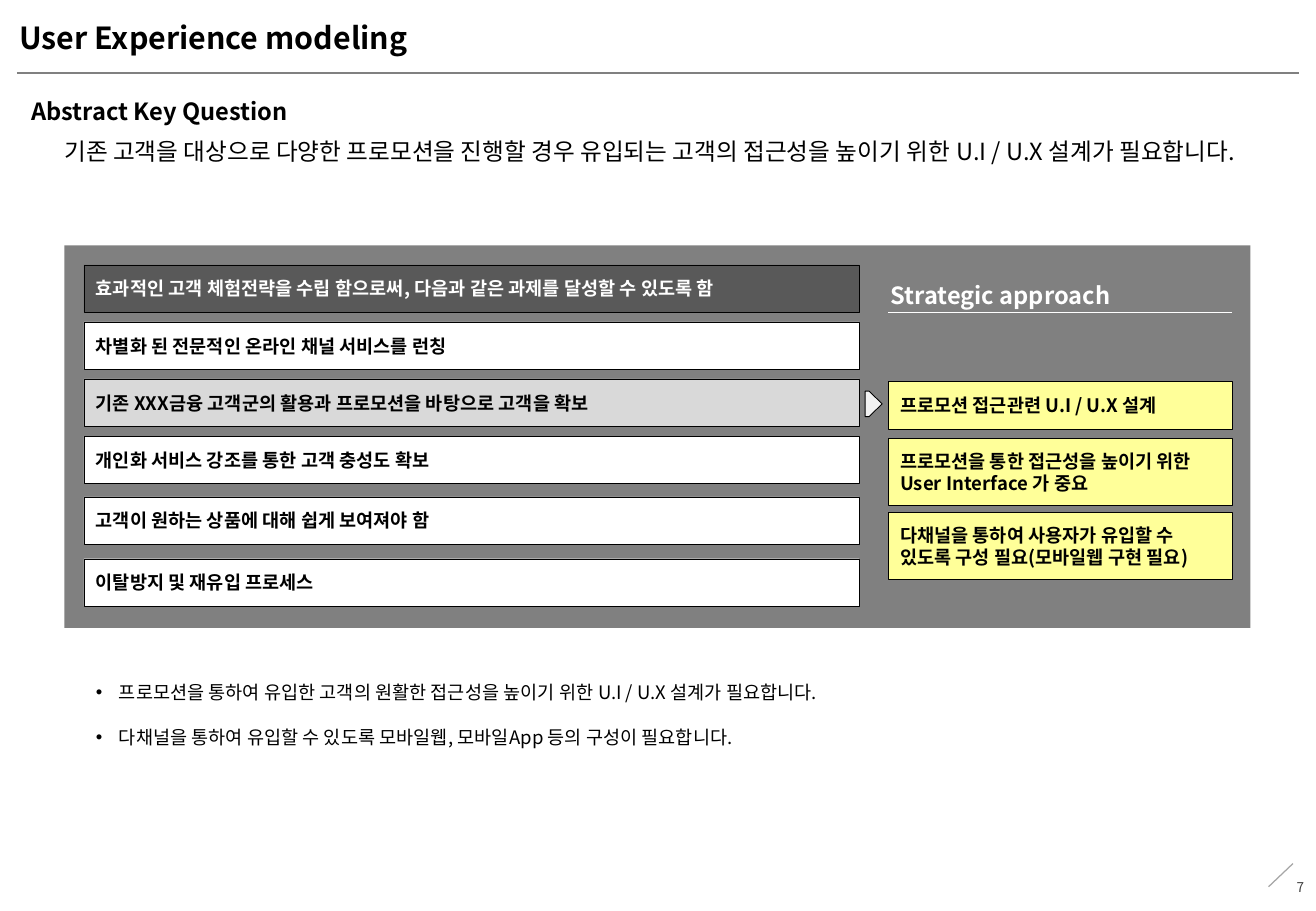
import pptx
import pptx.dml.color
import pptx.enum.shapes
import pptx.enum.text
import pptx.oxml.ns
import pptx.util
from lxml import etree

Inches = pptx.util.Inches
Pt = pptx.util.Pt
qn = pptx.oxml.ns.qn
SHAPES = pptx.enum.shapes.MSO_SHAPE
MIDDLE = pptx.enum.text.MSO_ANCHOR.MIDDLE
RIGHT = pptx.enum.text.PP_ALIGN.RIGHT

BLACK, WHITE, GRAY = "000000", "FFFFFF", "808080"
DARK, LIGHT, YELLOW = "595959", "D9D9D9", "FFFF99"


def color(hex_value):
    return pptx.dml.color.RGBColor.from_string(hex_value)


class SlideBuilder:
    font_name = "Noto Sans CJK KR"

    def __init__(self, slide):
        self.slide = slide

    def style_paragraph(self, paragraph, size, text_color, bold):
        for run in paragraph.runs:
            run.font.size = Pt(size)
            run.font.bold = bold
            run.font.color.rgb = color(text_color)
            run.font.name = self.font_name
            east_asian = etree.SubElement(run.font._element, qn("a:ea"))
            east_asian.set("typeface", self.font_name)

    def text(self, box, text, size, text_color=BLACK, bold=False,
             insets=(0.1, 0.05, 0.1, 0.05)):
        shape = self.slide.shapes.add_textbox(*map(Inches, box))
        self.fill_text(shape.text_frame, text, size, text_color, bold, insets)
        return shape.text_frame

    def fill_text(self, frame, text, size, text_color, bold, insets):
        frame.word_wrap = True
        (frame.margin_left, frame.margin_top,
         frame.margin_right, frame.margin_bottom) = map(Inches, insets)
        frame.text = text
        for paragraph in frame.paragraphs:
            paragraph.alignment = pptx.enum.text.PP_ALIGN.LEFT
            self.style_paragraph(paragraph, size, text_color, bold)

    def bullets(self, box, items, size, gap):
        frame = self.text(box, "\n".join(items), size)
        for index, paragraph in enumerate(frame.paragraphs):
            properties = paragraph._p.get_or_add_pPr()
            properties.set("marL", str(Inches(0.19)))
            properties.set("indent", str(-Inches(0.19)))
            etree.SubElement(properties, qn("a:buFont")).set("typeface", "Arial")
            etree.SubElement(properties, qn("a:buChar")).set("char", "•")
            if index:
                paragraph.space_before = Pt(gap)

    def shape(self, box, fill, line_width=None, kind=SHAPES.RECTANGLE):
        shape = self.slide.shapes.add_shape(kind, *map(Inches, box))
        shape.shadow.inherit = False
        shape.fill.solid()
        shape.fill.fore_color.rgb = color(fill)
        if line_width is None:
            shape.line.fill.background()
        else:
            shape.line.color.rgb = color(BLACK)
            shape.line.width = Pt(line_width)
        return shape

    def label_box(self, box, text, fill, text_color=BLACK):
        frame = self.shape(box, fill, 0.25).text_frame
        self.fill_text(frame, text, 11, text_color, True, (0.1, 0, 0.1, 0))
        frame.vertical_anchor = MIDDLE

    def line(self, start, end, line_color, width):
        connector = self.slide.shapes.add_connector(
            pptx.enum.shapes.MSO_CONNECTOR.STRAIGHT, *map(Inches, start + end))
        connector.line.color.rgb = color(line_color)
        connector.line.width = Pt(width)
        etree.SubElement(connector._element.spPr, qn("a:effectLst"))


GOALS = [
    (2.18, "효과적인 고객 체험전략을 수립 함으로써, 다음과 같은 과제를 달성할 수 있도록 함", DARK, WHITE),
    (2.65, "차별화 된 전문적인 온라인 채널 서비스를 런칭", WHITE, BLACK),
    (3.12, "기존 XXX금융 고객군의 활용과 프로모션을 바탕으로 고객을 확보", LIGHT, BLACK),
    (3.59, "개인화 서비스 강조를 통한 고객 충성도 확보", WHITE, BLACK),
    (4.09, "고객이 원하는 상품에 대해 쉽게 보여져야 함", WHITE, BLACK),
    (4.6, "이탈방지 및 재유입 프로세스", WHITE, BLACK),
]
APPROACHES = [
    (3.14, 0.39, "프로모션 접근관련 U.I / U.X 설계"),
    (3.61, 0.55, "프로모션을 통한 접근성을 높이기 위한 User Interface 가 중요"),
    (4.22, 0.55, "다채널을 통하여 사용자가 유입할 수 있도록 구성 필요(모바일웹 구현 필요)"),
]
CONCLUSIONS = [
    "프로모션을 통하여 유입한 고객의 원활한 접근성을 높이기 위한 U.I / U.X 설계가 필요합니다.",
    "다채널을 통하여 유입할 수 있도록 모바일웹, 모바일App 등의 구성이 필요합니다.",
]


def main():
    presentation = pptx.Presentation()
    presentation.slide_width = Inches(10.83)
    presentation.slide_height = Inches(7.5)
    builder = SlideBuilder(
        presentation.slides.add_slide(presentation.slide_layouts[6]))

    builder.line((0.14, 0.6), (10.69, 0.6), GRAY, 0.75)
    builder.line((10.64, 7.11), (10.44, 7.3), "A6A6A6", 0.75)
    page_number = builder.text((10.22, 7.1, 0.61, 0.4), "7", 8, "404040")
    page_number.vertical_anchor = MIDDLE
    page_number.paragraphs[0].alignment = RIGHT

    builder.text((0.16, 0.1, 8.09, 0.42), "User Experience modeling", 18,
                 bold=True, insets=(0, 0.06, 0, 0.06))
    builder.text((0.16, 0.75, 10.54, 0.34), "Abstract Key Question", 14, bold=True)
    builder.text((0.53, 1.08, 10.16, 0.34),
                 "기존 고객을 대상으로 다양한 프로모션을 진행할 경우 유입되는 고객의 "
                 "접근성을 높이기 위한 U.I / U.X 설계가 필요합니다.",
                 14, insets=(0, 0.05, 0.1, 0.05))

    builder.shape((0.53, 2.02, 9.76, 3.15), GRAY)
    for top, text, fill, text_color in GOALS:
        builder.label_box((0.69, top, 6.38, 0.39), text, fill, text_color)

    heading = builder.text((7.23, 2.17, 2.67, 0.43), "Strategic approach", 14,
                           WHITE, bold=True)
    heading.paragraphs[0].line_spacing = 1.4
    builder.line((7.31, 2.57), (10.14, 2.57), WHITE, 0.5)
    arrow = builder.shape((7.12, 3.22, 0.14, 0.21), "F2F2F2", 0.5, SHAPES.PENTAGON)
    arrow.adjustments[0] = 0.77
    for top, height, text in APPROACHES:
        builder.label_box((7.31, top, 2.83, height), text, YELLOW)

    builder.bullets((0.69, 5.56, 9.61, 0.66), CONCLUSIONS, 11, 13.3)
    presentation.save("out.pptx")


if __name__ == "__main__":
    main()
